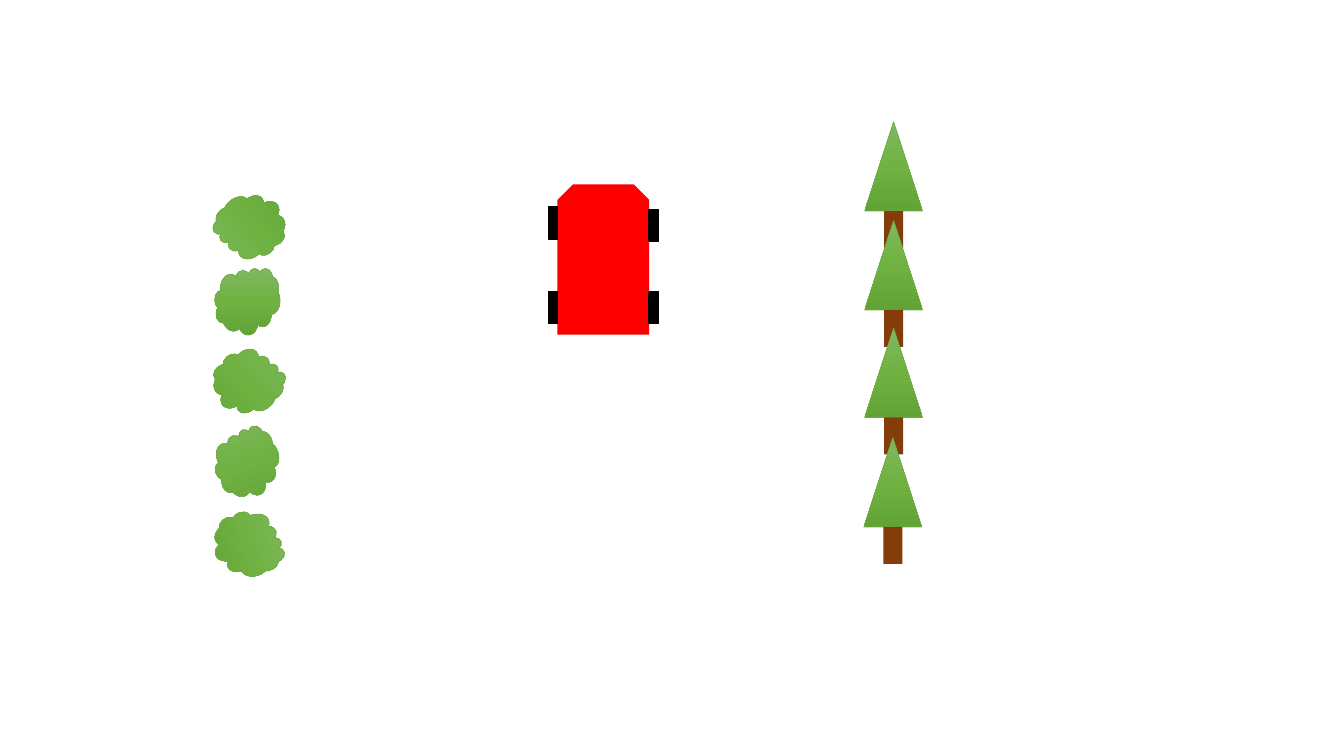
from copy import deepcopy

from pptx import Presentation
from pptx.dml.color import RGBColor
from pptx.enum.shapes import MSO_SHAPE as Kind
from pptx.oxml.ns import qn
from pptx.util import Cm, Pt

LEAVES = ((0, "81B861"), (0.5, "6FB242"), (1, "62A336"))
EDGE = "70AD47"
BARK = "843C0B"
RED = "FF0000"
BLACK = "000000"


def hue(code):
    return RGBColor.from_string(code)


def draw(group, kind, left, top, width, height, line=None, weight=0):
    shape = group.shapes.add_shape(kind, Cm(left), Cm(top), Cm(width), Cm(height))
    shape.shadow.inherit = False
    if line:
        shape.line.color.rgb = hue(line)
        shape.line.width = Pt(weight)
    else:
        shape.line.fill.background()
    return shape


def paint(shape, code):
    shape.fill.solid()
    shape.fill.fore_color.rgb = hue(code)


def shade(shape):
    shape.fill.gradient()
    shape.fill.gradient_angle = 270
    stops = shape._element.spPr.find(qn("a:gradFill")).find(qn("a:gsLst"))
    stops.insert(1, deepcopy(stops[0]))
    for stop, (place, code) in zip(shape.fill.gradient_stops, LEAVES):
        stop.position = place
        stop.color.rgb = hue(code)


def add_tree(slide, left, top):
    tree = slide.shapes.add_group_shape()
    shade(draw(tree, Kind.ISOSCELES_TRIANGLE, left, top, 1.46, 2.25, EDGE, 0.5))
    paint(draw(tree, Kind.RECTANGLE, left + 0.49, top + 2.25, 0.48, 0.93), BARK)


def add_car(slide):
    car = slide.shapes.add_group_shape()
    paint(draw(car, Kind.SNIP_2_SAME_RECTANGLE, 14.05, 4.65, 2.31, 3.78), RED)
    for left, top in ((13.82, 5.21), (16.36, 5.28), (13.82, 7.34), (16.36, 7.34)):
        paint(draw(car, Kind.RECTANGLE, left, top, 0.23, 0.81, BLACK, 1), BLACK)


def add_hedge(slide):
    hedge = slide.shapes.add_group_shape()
    spots = [(5.41, 6.76 + 2.04 * row, turn)
             for row, turn in enumerate((0, 48.1, 339.3, 73.4))]
    for left, top, turn in spots + [(5.51, 4.85, 232.1)]:
        bush = draw(hedge, Kind.CLOUD, left, top, 1.65, 1.68, EDGE, 0.5)
        shade(bush)
        bush.rotation = turn


def main():
    deck = Presentation()
    deck.slide_width, deck.slide_height = Cm(33.87), Cm(19.05)
    slide = deck.slides.add_slide(deck.slide_layouts[6])
    add_tree(slide, 21.79, 3.07)
    add_car(slide)
    for left, top in ((21.79, 5.56), (21.79, 8.27), (21.77, 11.03)):
        add_tree(slide, left, top)
    add_hedge(slide)
    deck.save("out.pptx")


if __name__ == "__main__":
    main()
